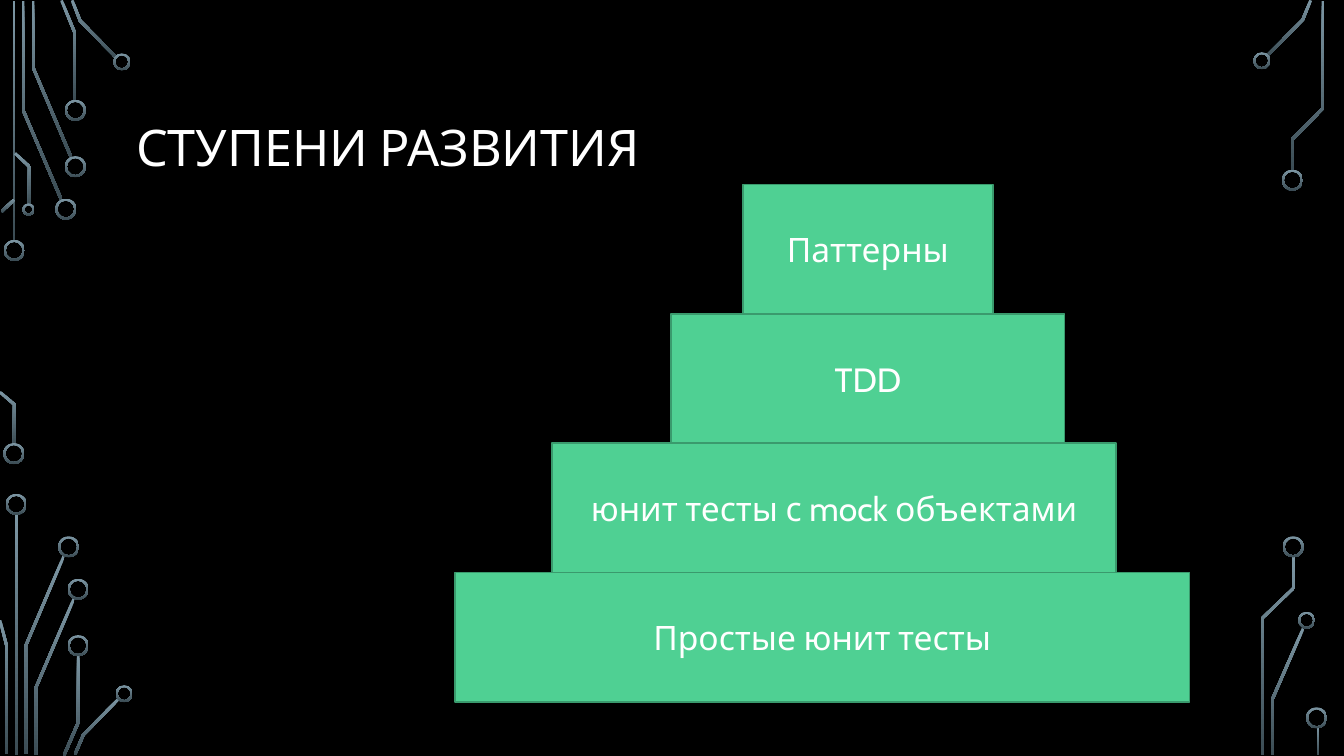
from dataclasses import dataclass
from itertools import pairwise
from math import hypot

from pptx import Presentation
from pptx.dml.color import RGBColor
from pptx.enum.shapes import MSO_SHAPE
from pptx.enum.text import MSO_ANCHOR, PP_ALIGN
from pptx.shapes.autoshape import Shape
from pptx.shapes.shapetree import SlideShapes
from pptx.slide import Slide
from pptx.text.text import TextFrame
from pptx.util import Cm, Pt

COLORS = {
    "background": "000000",
    "text": "FFFFFF",
    "step": "4FD093",
    "step_line": "3A9A6D",
    "circuit_top": "7C96A3",
    "circuit_bottom": "3B4C54",
}
FONT = "Cabin"
TRACE_WIDTH = 0.07
RING_WIDTH = 0.05
STEP_TOP, STEP_HEIGHT = 4.65, 3.26

Point = tuple[float, float]


@dataclass
class Ring:
    x: float
    y: float
    diameter: float = 0.53


@dataclass
class Bar:
    x: float
    top: float
    height: float


@dataclass
class Step:
    text: str
    left: float
    width: float


BARS = [Bar(0.32, 0.03, 6.07), Bar(0.38, 12.95, 6.07), Bar(33.18, 18.31, 0.71)]

# Centre lines of the bent traces
TRACES: list[list[Point]] = [
    [(1.55, 5.04), (0.58, 2.77), (0.58, 0.03)],
    [(1.8, 3.98), (0.83, 1.69), (0.83, 0.03)],
    [(1.89, 2.54), (1.89, 0.84), (1.55, 0.01)],
    [(2.93, 1.45), (2.02, 0.52), (1.82, 0.01)],
    [(0.04, 5.33), (0.36, 5.03)],
    [(0.36, 11.2), (0.36, 10.19), (0, 9.88)],
    [(0.74, 5.16), (0.74, 4.2), (0.38, 3.86)],
    [(0.65, 19), (0.65, 16.27), (1.61, 14.01)],
    [(0.17, 19), (0.17, 16.28), (0, 15.63)],
    [(0.9, 19.02), (0.9, 17.34), (1.87, 15.07)],
    [(1.61, 19.04), (1.97, 18.21), (1.97, 16.51)],
    [(1.89, 19.01), (2.1, 18.52), (3, 17.6)],
    [(31.93, 1.41), (32.83, 0.5), (33.03, 0.01)],
    [(32.07, 19.02), (32.07, 17.61), (32.84, 15.84)],
    [(32.56, 4.29), (32.56, 3.52), (33.34, 2.73), (33.34, 0.03)],
    [(31.81, 19.02), (31.81, 15.58), (32.6, 14.82), (32.6, 14.02)],
]

RINGS = [
    Ring(0.36, 6.31), Ring(0.35, 11.43), Ring(1.66, 5.27), Ring(1.9, 4.2),
    Ring(1.9, 2.78), Ring(3.07, 1.56, 0.43), Ring(0.72, 5.28, 0.31),
    Ring(0.41, 12.71), Ring(1.73, 13.78), Ring(1.97, 14.85),
    Ring(1.97, 16.27), Ring(3.13, 17.48, 0.43), Ring(31.8, 1.53, 0.43),
    Ring(32.57, 4.54), Ring(32.93, 15.63, 0.43), Ring(32.59, 13.78),
    Ring(33.18, 18.09),
]

STEPS = [
    Step("Паттерны", 18.72, 6.3),
    Step("TDD", 16.92, 9.91),
    Step("юнит тесты с mock объектами", 13.92, 14.2),
    Step("Простые юнит тесты", 11.46, 18.52),
]


def rgb(name: str) -> RGBColor:
    return RGBColor.from_string(COLORS[name])


def style_circuit(sp: Shape) -> None:
    """Fill a circuit part from light at the top to dark at the bottom."""
    sp.shadow.inherit = False
    sp.line.fill.background()
    sp.fill.gradient()
    sp.fill.gradient_angle = 270
    for stop, name in zip(sp.fill.gradient_stops, ("circuit_top", "circuit_bottom")):
        stop.color.rgb = rgb(name)


def trace_outline(points: list[Point]) -> list[Point]:
    """Widen a centre line to a closed band with mitred corners."""
    normals = []
    for (x1, y1), (x2, y2) in pairwise(points):
        length = hypot(x2 - x1, y2 - y1)
        normals.append(((y1 - y2) / length, (x2 - x1) / length))
    left, right = [], []
    before, after = [normals[0], *normals], [*normals, normals[-1]]
    for (x, y), (ax, ay), (bx, by) in zip(points, before, after):
        k = TRACE_WIDTH / 2 / (1 + ax * bx + ay * by)
        dx, dy = k * (ax + bx), k * (ay + by)
        left.append((x + dx, y + dy))
        right.append((x - dx, y - dy))
    return left + right[::-1]


def add_trace(shapes: SlideShapes, points: list[Point]) -> None:
    start, *rest = [(Cm(x), Cm(y)) for x, y in trace_outline(points)]
    builder = shapes.build_freeform(*start)
    builder.add_line_segments(rest, close=True)
    style_circuit(builder.convert_to_shape())


def add_bar(shapes: SlideShapes, bar: Bar) -> None:
    style_circuit(shapes.add_shape(
        MSO_SHAPE.RECTANGLE, Cm(bar.x), Cm(bar.top), Cm(TRACE_WIDTH), Cm(bar.height)))


def add_ring(shapes: SlideShapes, ring: Ring) -> None:
    d = ring.diameter
    sp = shapes.add_shape(
        MSO_SHAPE.DONUT, Cm(ring.x - d / 2), Cm(ring.y - d / 2), Cm(d), Cm(d))
    sp.adjustments[0] = RING_WIDTH / d
    style_circuit(sp)


def write(tf: TextFrame, text: str, size: int, align: PP_ALIGN) -> None:
    tf.word_wrap = True
    tf.vertical_anchor = MSO_ANCHOR.MIDDLE
    p = tf.paragraphs[0]
    p.text = text
    p.alignment = align
    p.font.name = FONT
    p.font.size = Pt(size)
    p.font.color.rgb = rgb("text")


def add_step(shapes: SlideShapes, step: Step, top: float) -> None:
    sp = shapes.add_shape(
        MSO_SHAPE.RECTANGLE, Cm(step.left), Cm(top), Cm(step.width), Cm(STEP_HEIGHT))
    sp.shadow.inherit = False
    sp.fill.solid()
    sp.fill.fore_color.rgb = rgb("step")
    sp.line.color.rgb = rgb("step_line")
    sp.line.width = Pt(1.25)
    write(sp.text_frame, step.text, 24, PP_ALIGN.CENTER)


def add_title(s: Slide, text: str) -> None:
    tf = s.shapes.add_textbox(Cm(3.18), Cm(1.73), Cm(27.51), Cm(4.11)).text_frame
    write(tf, text, 36, PP_ALIGN.LEFT)
    tf.paragraphs[0].line_spacing = 0.9


def main() -> None:
    prs = Presentation()
    prs.slide_width, prs.slide_height = Cm(33.87), Cm(19.05)
    s = prs.slides.add_slide(prs.slide_layouts[6])
    s.background.fill.solid()
    s.background.fill.fore_color.rgb = rgb("background")
    for bar in BARS:
        add_bar(s.shapes, bar)
    for points in TRACES:
        add_trace(s.shapes, points)
    for ring in RINGS:
        add_ring(s.shapes, ring)
    add_title(s, "СТУПЕНИ РАЗВИТИЯ")
    for i, step in enumerate(STEPS):
        add_step(s.shapes, step, STEP_TOP + i * STEP_HEIGHT)
    prs.save("out.pptx")


if __name__ == "__main__":
    main()
